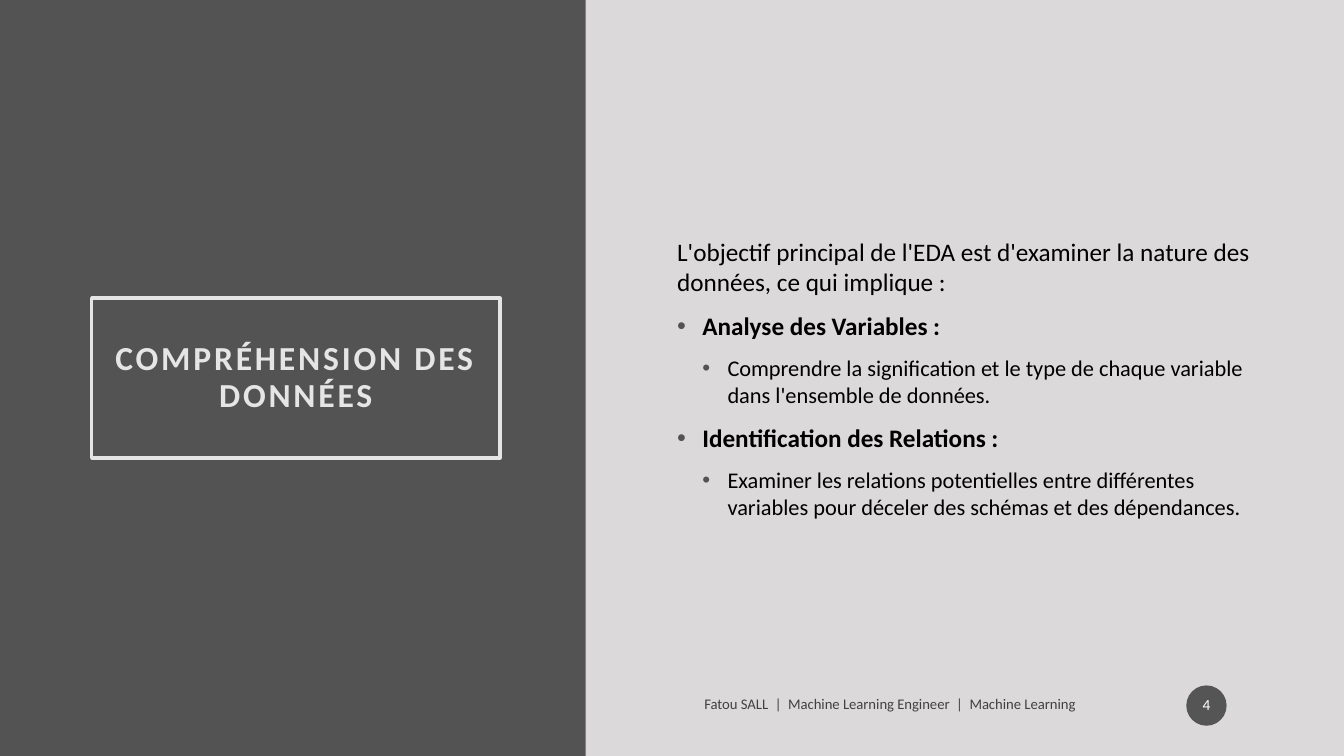
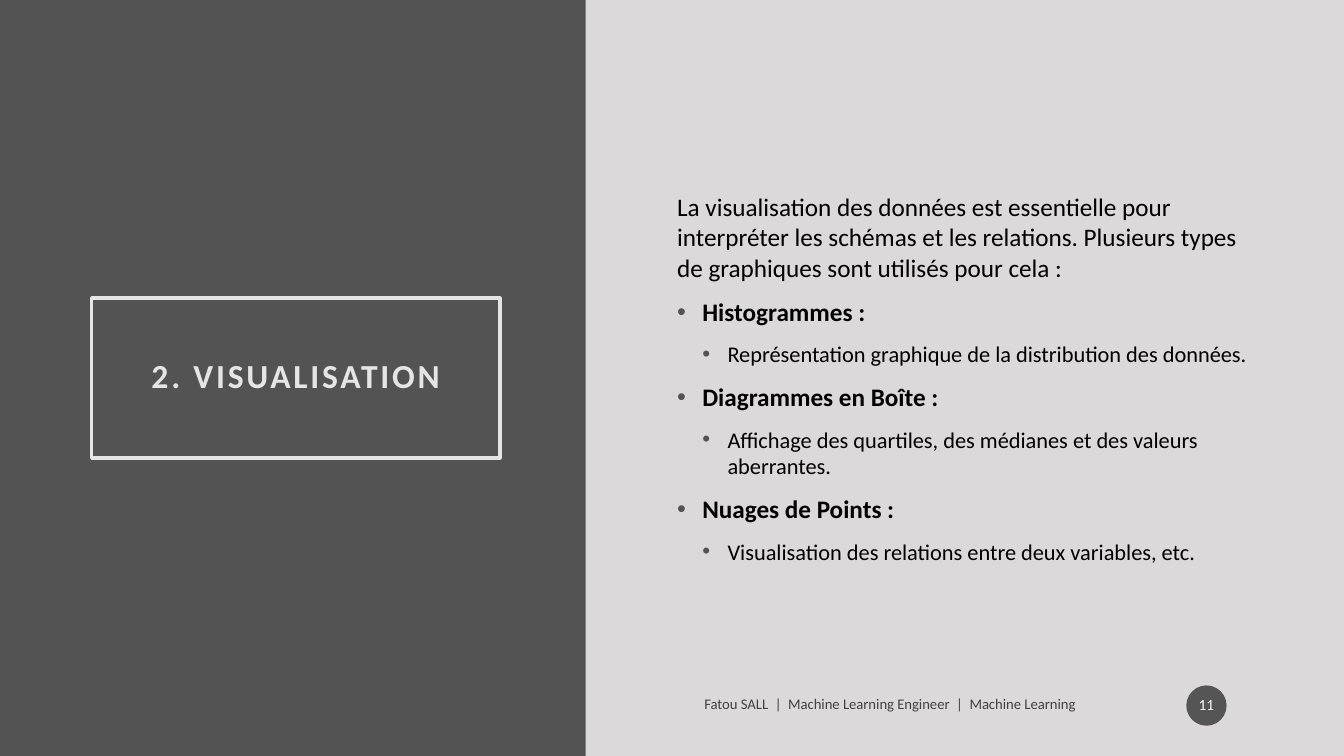
from dataclasses import dataclass

from lxml.etree import SubElement
from pptx import Presentation
from pptx.dml.color import RGBColor
from pptx.enum.shapes import MSO_SHAPE as Preset
from pptx.enum.text import MSO_ANCHOR as Anchor, MSO_AUTO_SIZE as AutoSize, PP_ALIGN as Align
from pptx.oxml.ns import qn
from pptx.util import Pt

COLORS = {
    "backdrop": "535353",
    "panel": "DBD9D9",
    "frame": "E6E5E5",
    "ink": "000000",
    "badge": "1D1D1D",
    "number": "FFFFFF",
}
FONT = "Calibri"
CREDIT = "Fatou SALL  |  Machine Learning Engineer  |  Machine Learning"
INDENT = 18
SOFT_ALPHA = 70


@dataclass(frozen=True)
class Box:
    left: float
    top: float
    width: float
    height: float

    def lengths(self) -> tuple:
        return Pt(self.left), Pt(self.top), Pt(self.width), Pt(self.height)


@dataclass(frozen=True)
class Topic:
    heading: str
    detail: str


@dataclass(frozen=True)
class Section:
    title: str
    intro: str
    topics: tuple[Topic, ...]
    number: int


TITLE_BOX = Box(65.5, 213, 291.6, 114)
PANEL_BOX = Box(418.3, 0, 541.7, 540)
BODY_BOX = Box(476.6, 63.4, 426.2, 413.3)
CREDIT_BOX = Box(496, 490.3, 337, 24.5)
BADGE_BOX = Box(847.4, 489.6, 28.8, 28.8)

SECTIONS = (
    Section(
        "COMPRÉHENSION DES DONNÉES",
        "L'objectif principal de l'EDA est d'examiner la nature des données, ce qui implique :",
        (
            Topic("Analyse des Variables :",
                  "Comprendre la signification et le type de chaque variable dans l'ensemble de données."),
            Topic("Identification des Relations :",
                  "Examiner les relations potentielles entre différentes variables pour déceler "
                  "des schémas et des dépendances."),
        ),
        4,
    ),
    Section(
        "2. VISUALISATION",
        "La visualisation des données est essentielle pour interpréter les schémas et les relations. "
        "Plusieurs types de graphiques sont utilisés pour cela :",
        (
            Topic("Histogrammes :", "Représentation graphique de la distribution des données."),
            Topic("Diagrammes en Boîte :", "Affichage des quartiles, des médianes et des valeurs aberrantes."),
            Topic("Nuages de Points :", "Visualisation des relations entre deux variables, etc."),
        ),
        11,
    ),
)


def rgb(name: str) -> RGBColor:
    return RGBColor.from_string(COLORS[name])


def soften(properties) -> None:
    color = properties.find(f"{qn('a:solidFill')}/{qn('a:srgbClr')}")
    SubElement(color, qn("a:alpha"), val=str(SOFT_ALPHA * 1000))


def style_text(paragraph, size: float, color: str, bold: bool = False) -> None:
    for run in paragraph.runs:
        run.font.name = FONT
        run.font.size = Pt(size)
        run.font.bold = bold
        run.font.color.rgb = rgb(color)


def add_bullet(paragraph, level: int) -> None:
    paragraph.level = level
    properties = paragraph._p.get_or_add_pPr()
    properties.set("marL", str(Pt(INDENT * (level + 1))))
    properties.set("indent", str(-Pt(INDENT)))
    tint = SubElement(properties, qn("a:buClr"))
    SubElement(tint, qn("a:srgbClr"), val=COLORS["backdrop"])
    SubElement(properties, qn("a:buFont"), typeface="Arial")
    SubElement(properties, qn("a:buChar"), char="•")


def set_insets(frame, horizontal: float, vertical: float) -> None:
    frame.margin_left = frame.margin_right = Pt(horizontal)
    frame.margin_top = frame.margin_bottom = Pt(vertical)


def add_filled(slide, preset: Preset, box: Box, color: str):
    shape = slide.shapes.add_shape(preset, *box.lengths())
    shape.shadow.inherit = False
    shape.fill.solid()
    shape.fill.fore_color.rgb = rgb(color)
    shape.line.fill.background()
    return shape


def add_text_area(slide, box: Box):
    frame = slide.shapes.add_textbox(*box.lengths()).text_frame
    frame.word_wrap = True
    frame.vertical_anchor = Anchor.MIDDLE
    return frame


def format_title(slide, text: str) -> None:
    title = slide.shapes.title
    title.left, title.top, title.width, title.height = TITLE_BOX.lengths()
    title.fill.background()
    title.line.color.rgb = rgb("frame")
    title.line.width = Pt(2.5)
    frame = title.text_frame
    frame.text = text
    frame.word_wrap = True
    frame.auto_size = AutoSize.NONE
    frame.vertical_anchor = Anchor.MIDDLE
    set_insets(frame, 14.4, 14.4)
    heading = frame.paragraphs[0]
    heading.alignment = Align.CENTER
    heading.line_spacing = 0.9
    style_text(heading, 24, "frame", bold=True)
    for run in heading.runs:
        run.font._element.set("spc", "200")


def add_body(slide, section: Section) -> None:
    frame = add_text_area(slide, BODY_BOX)
    intro = frame.paragraphs[0]
    intro.text = section.intro
    intro.space_before = Pt(10)
    style_text(intro, 18, "ink")
    for topic in section.topics:
        for level, text in enumerate((topic.heading, topic.detail)):
            item = frame.add_paragraph()
            item.text = text
            item.space_before = Pt(10)
            add_bullet(item, level)
            style_text(item, 18 - 2 * level, "ink", bold=level == 0)


def add_footer(slide, number: int) -> None:
    credit = add_text_area(slide, CREDIT_BOX).paragraphs[0]
    credit.text = CREDIT
    credit.space_after = Pt(6)
    style_text(credit, 10.5, "ink")
    for run in credit.runs:
        soften(run.font._element)

    badge = add_filled(slide, Preset.OVAL, BADGE_BOX, "badge")
    soften(badge._element.spPr)
    frame = badge.text_frame
    frame.text = str(number)
    frame.vertical_anchor = Anchor.MIDDLE
    set_insets(frame, 1.4, 3.6)
    page = frame.paragraphs[0]
    page.alignment = Align.CENTER
    page.line_spacing = 0.9
    page.space_after = Pt(6)
    style_text(page, 11, "number")


def add_section(deck, section: Section) -> None:
    slide = deck.slides.add_slide(deck.slide_layouts[5])
    format_title(slide, section.title)
    add_filled(slide, Preset.RECTANGLE, PANEL_BOX, "panel")
    add_body(slide, section)
    add_footer(slide, section.number)


def main() -> None:
    deck = Presentation()
    deck.slide_width, deck.slide_height = Pt(960), Pt(540)
    backdrop = deck.slide_master.background.fill
    backdrop.solid()
    backdrop.fore_color.rgb = rgb("backdrop")
    for section in SECTIONS:
        add_section(deck, section)
    deck.save("out.pptx")


if __name__ == "__main__":
    main()
